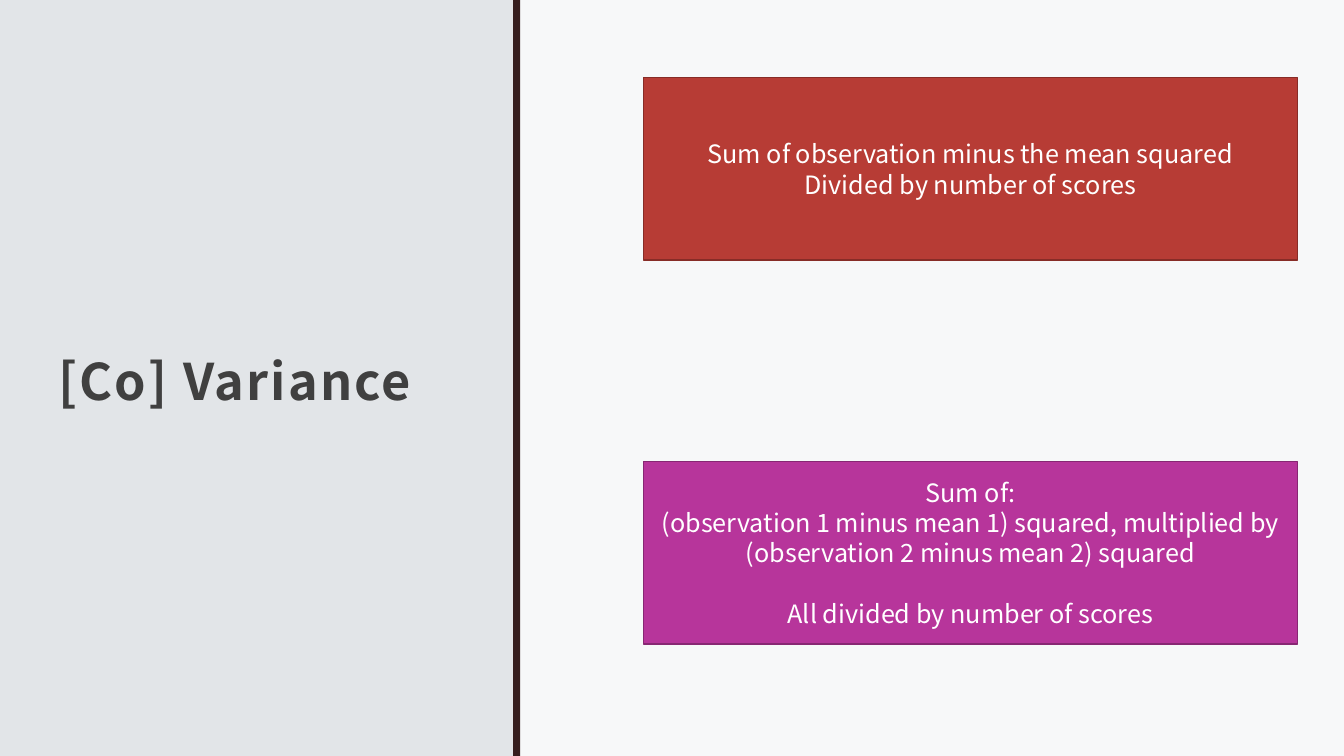
"""Build the [Co] Variance slide with two formula cards beside a title panel."""
from dataclasses import dataclass

from lxml import etree
from pptx import Presentation
from pptx import util as u
from pptx.dml.color import RGBColor
from pptx.enum import shapes, text
from pptx.oxml.ns import qn

FONT = "Noto Sans CJK JP"
PANEL = RGBColor(0xE2, 0xE5, 0xE8)
WHITE = RGBColor(0xFF, 0xFF, 0xFF)
DIVIDER = RGBColor(0x36, 0x1E, 0x1E)
INK = RGBColor(0x40, 0x40, 0x40)
RED = RGBColor(0xB7, 0x3C, 0x35)
DARK_RED = RGBColor(0x87, 0x2C, 0x27)
MAGENTA = RGBColor(0xB7, 0x35, 0x9B)
DARK_MAGENTA = RGBColor(0x87, 0x27, 0x73)

HEADING_TAB = u.Inches(1)
HEADING_FONT = {"name": FONT, "size": u.Pt(36), "bold": True}
CARD_FONT = {"name": FONT, "size": u.Pt(18), "bold": False}
HEADING_FRAME = {
    "word_wrap": True,
    "auto_size": text.MSO_AUTO_SIZE.NONE,
    "vertical_anchor": text.MSO_ANCHOR.MIDDLE,
    "margin_left": u.Inches(0.12),
    "margin_right": u.Inches(0.12),
    "margin_top": u.Inches(0.12),
    "margin_bottom": u.Inches(0.1),
}
CARD_FRAME = {"word_wrap": True, "vertical_anchor": text.MSO_ANCHOR.MIDDLE}


@dataclass
class Line:
    wording: str
    space_before: float = 0


@dataclass
class Card:
    top: float
    fill: RGBColor
    border: RGBColor
    lines: list[Line]


CARDS = [
    Card(0.77, RED, DARK_RED, [
        Line("Sum of observation minus the mean squared"),
        Line("Divided by number of scores"),
    ]),
    Card(4.58, MAGENTA, DARK_MAGENTA, [
        Line("Sum of:"),
        Line("(observation 1 minus mean 1) squared, multiplied by "
             "(observation 2 minus mean 2) squared"),
        Line("All divided by number of scores", 21.6),
    ]),
]


def apply(target: object, values: dict) -> None:
    for name, value in values.items():
        setattr(target, name, value)


def add_block(slide, left: float, top: float, width: float, height: float, fill: RGBColor):
    block = slide.shapes.add_shape(
        shapes.MSO_SHAPE.RECTANGLE, *map(u.Inches, (left, top, width, height)))
    block.shadow.inherit = False
    block.fill.solid()
    block.fill.fore_color.rgb = fill
    block.line.fill.background()
    return block


def add_card(slide, card: Card) -> None:
    box = add_block(slide, 6.38, card.top, 6.49, 1.81, card.fill)
    box.line.color.rgb = card.border
    box.line.width = u.Pt(1)
    frame = box.text_frame
    apply(frame, CARD_FRAME)
    for index, line in enumerate(card.lines):
        para = frame.add_paragraph() if index else frame.paragraphs[0]
        para.alignment = text.PP_ALIGN.CENTER
        if line.space_before:
            para.space_before = u.Pt(line.space_before)
        span = para.add_run()
        span.text = line.wording
        apply(span.font, CARD_FONT)
        span.font.color.rgb = WHITE


def write_heading(box, left: float, wording: str) -> None:
    apply(box, {"left": u.Inches(left), "top": u.Inches(0.77),
                "width": u.Inches(3.73), "height": u.Inches(5.68)})
    apply(box.text_frame, HEADING_FRAME)
    para = box.text_frame.paragraphs[0]
    apply(para, {"alignment": text.PP_ALIGN.LEFT, "line_spacing": 1.5})
    stops = etree.SubElement(para._p.get_or_add_pPr(), qn("a:tabLst"))
    etree.SubElement(stops, qn("a:tab"), pos=str(int(HEADING_TAB)), algn="l")
    span = para.add_run()
    span.text = wording
    apply(span.font, HEADING_FONT)
    span.font.color.rgb = INK
    span.font._element.set("spc", "150")


def main() -> None:
    deck = Presentation()
    apply(deck, {"slide_width": u.Inches(13.33), "slide_height": u.Inches(7.5)})
    page = deck.slides.add_slide(deck.slide_layouts[5])
    page.background.fill.solid()
    page.background.fill.fore_color.rgb = PANEL

    content = add_block(page, 5.16, 0, 8.17, 7.5, WHITE)
    tint = content.fill._xPr.find(".//" + qn("a:srgbClr"))
    etree.SubElement(tint, qn("a:alpha"), val="75000")
    add_block(page, 5.09, 0, 0.07, 7.5, DIVIDER)

    write_heading(page.shapes.title, 0.7, "\tVariance")
    write_heading(page.shapes.add_textbox(0, 0, 0, 0), 0.46, "[Co]")
    for card in CARDS:
        add_card(page, card)
    deck.save("out.pptx")


if __name__ == "__main__":
    main()
